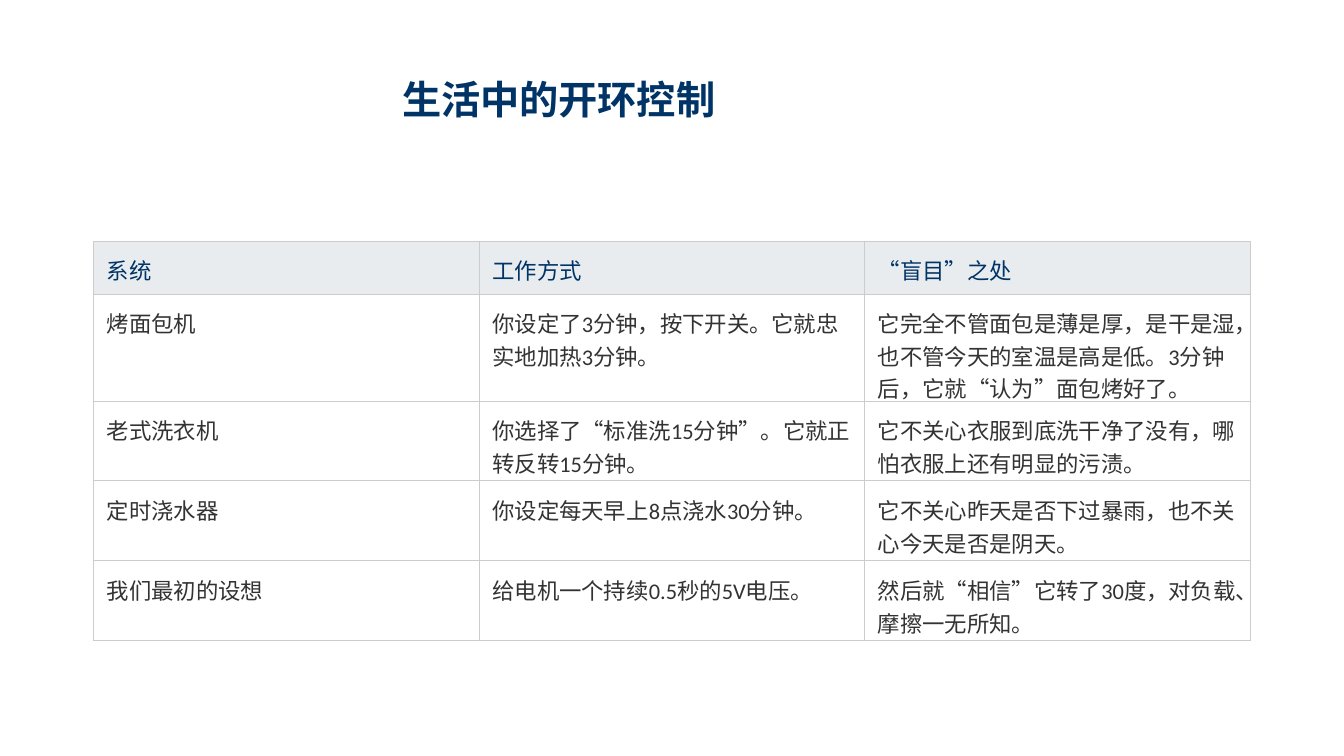
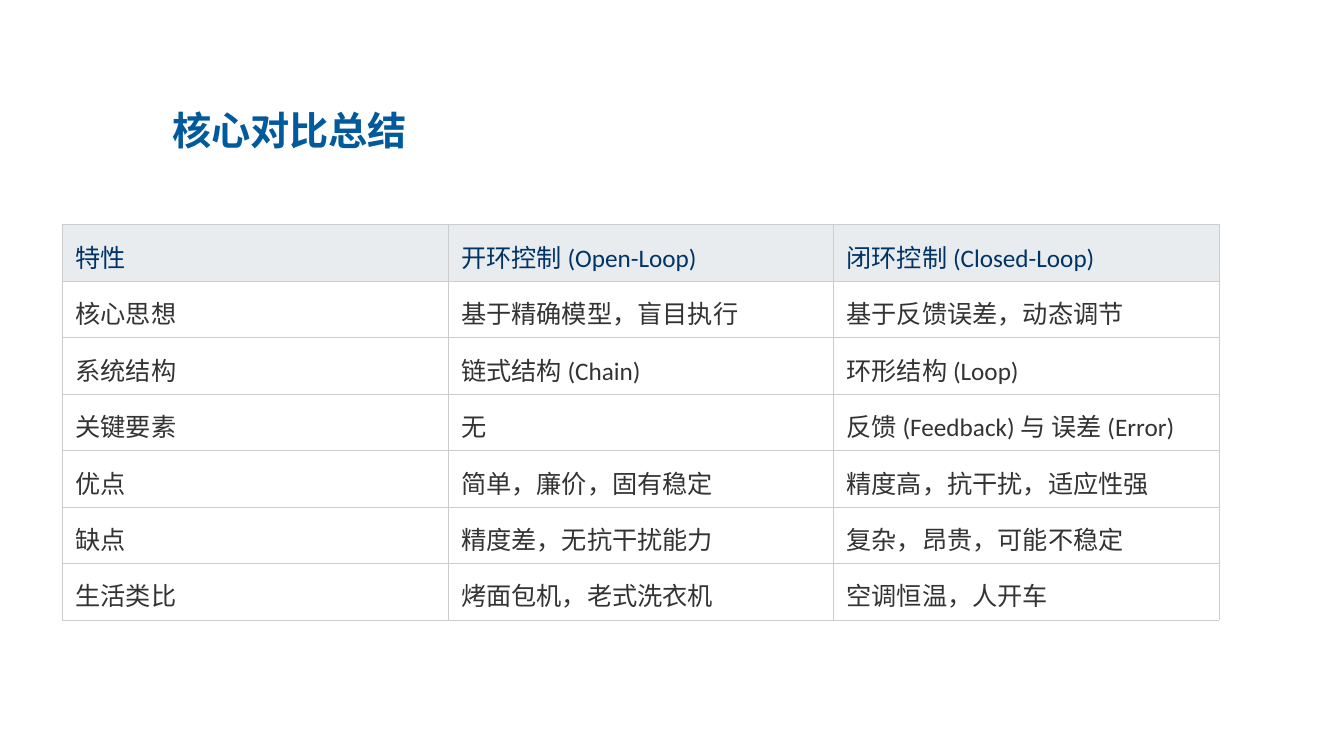
from dataclasses import dataclass
from lxml.etree import SubElement
from pptx import Presentation
from pptx.dml.color import RGBColor
from pptx.enum.text import MSO_AUTO_SIZE
from pptx.oxml.ns import qn
from pptx.slide import Slide
from pptx.table import _Cell
from pptx.text.text import _Paragraph
from pptx.util import Inches, Pt

WIDE, HIGH = 13.33, 7.5
FONT = "Calibri"
PAD = 0.13
LEAD = 1.18
TONES = {
    "navy": "003366",
    "blue": "005A9C",
    "ink": "333333",
    "head": "E9ECEF",
    "rule": "CCCCCC",
}


@dataclass(frozen=True)
class Title:
    """A heading, placed in percent of the slide."""
    text: str
    left: float
    top: float
    tone: str


@dataclass(frozen=True)
class Grid:
    """A table, placed in percent, with the text lines of each row."""
    left: float
    top: float
    size: int
    lines: tuple[int, ...]
    rows: tuple[tuple[str, ...], ...]


@dataclass(frozen=True)
class Page:
    """One slide: a heading and a table."""
    title: Title
    grid: Grid


PAGES = (
    Page(
        Title("生活中的开环控制", 29.18, 9.33, "navy"),
        Grid(6.98, 31.87, 16, (1, 3, 2, 2, 2), (
            ("系统", "工作方式", "“盲目”之处"),
            ("烤面包机", "你设定了3分钟，按下开关。它就忠实地加热3分钟。",
             "它完全不管面包是薄是厚，是干是湿，也不管今天的室温是高是低。"
             "3分钟后，它就“认为”面包烤好了。"),
            ("老式洗衣机", "你选择了“标准洗15分钟”。它就正转反转15分钟。",
             "它不关心衣服到底洗干净了没有，哪怕衣服上还有明显的污渍。"),
            ("定时浇水器", "你设定每天早上8点浇水30分钟。",
             "它不关心昨天是否下过暴雨，也不关心今天是否是阴天。"),
            ("我们最初的设想", "给电机一个持续0.5秒的5V电压。",
             "然后就“相信”它转了30度，对负载、摩擦一无所知。"),
        )),
    ),
    Page(
        Title("核心对比总结", 12.08, 13.47, "blue"),
        Grid(4.65, 29.73, 18, (1,) * 7, (
            ("特性", "开环控制 (Open-Loop)", "闭环控制 (Closed-Loop)"),
            ("核心思想", "基于精确模型，盲目执行", "基于反馈误差，动态调节"),
            ("系统结构", "链式结构 (Chain)", "环形结构 (Loop)"),
            ("关键要素", "无", "反馈 (Feedback) 与 误差 (Error)"),
            ("优点", "简单，廉价，固有稳定", "精度高，抗干扰，适应性强"),
            ("缺点", "精度差，无抗干扰能力", "复杂，昂贵，可能不稳定"),
            ("生活类比", "烤面包机，老式洗衣机", "空调恒温，人开车"),
        )),
    ),
)


def across(part: float) -> int:
    """Turn a percentage of the slide width into a length."""
    return Inches(WIDE * part / 100)


def down(part: float) -> int:
    """Turn a percentage of the slide height into a length."""
    return Inches(HIGH * part / 100)


def color(tone: str) -> RGBColor:
    """Look up a named colour."""
    return RGBColor.from_string(TONES[tone])


def style(para: _Paragraph, size: int, tone: str, bold: bool = False) -> None:
    """Set the font of a paragraph."""
    font = para.font
    font.name, font.size, font.bold = FONT, Pt(size), bold
    font.color.rgb = color(tone)


def border(cell: _Cell) -> None:
    """Draw a thin rule on all four sides of a cell."""
    props = cell._tc.get_or_add_tcPr()
    for spot, side in enumerate(("a:lnL", "a:lnR", "a:lnT", "a:lnB")):
        line = SubElement(props, qn(side), w=str(Pt(0.6)))
        fill = SubElement(line, qn("a:solidFill"))
        SubElement(fill, qn("a:srgbClr"), val=TONES["rule"])
        props.insert(spot, line)


def add_title(slide: Slide, title: Title) -> None:
    """Add the heading of a slide."""
    box = slide.shapes.add_textbox(
        across(title.left), down(title.top), across(41.71), down(7.6))
    frame = box.text_frame
    frame.word_wrap = True
    frame.auto_size = MSO_AUTO_SIZE.SHAPE_TO_FIT_TEXT
    frame.text = title.text
    style(frame.paragraphs[0], 28, title.tone, True)


def fill_cell(cell: _Cell, text: str, size: int, head: bool) -> None:
    """Write and style one table cell."""
    cell.text = text
    cell.margin_left = cell.margin_right = Inches(PAD)
    cell.margin_top = cell.margin_bottom = Inches(PAD)
    style(cell.text_frame.paragraphs[0], size, "navy" if head else "ink")
    if head:
        cell.fill.solid()
        cell.fill.fore_color.rgb = color("head")
    else:
        cell.fill.background()
    border(cell)


def add_grid(slide: Slide, grid: Grid) -> None:
    """Add a table whose rows fit their lines of text."""
    tall = [2 * PAD + n * grid.size * LEAD / 72 for n in grid.lines]
    table = slide.shapes.add_table(
        len(grid.rows), len(grid.rows[0]), across(grid.left), down(grid.top),
        across(86.05), Inches(sum(tall))).table
    table.first_row = table.horz_banding = False
    for r, texts in enumerate(grid.rows):
        table.rows[r].height = Inches(tall[r])
        for c, text in enumerate(texts):
            fill_cell(table.cell(r, c), text, grid.size, r == 0)


def main() -> None:
    """Build and save the slides."""
    deck = Presentation()
    deck.slide_width, deck.slide_height = Inches(WIDE), Inches(HIGH)
    for page in PAGES:
        slide = deck.slides.add_slide(deck.slide_layouts[6])
        add_title(slide, page.title)
        add_grid(slide, page.grid)
    deck.save("out.pptx")


if __name__ == "__main__":
    main()
